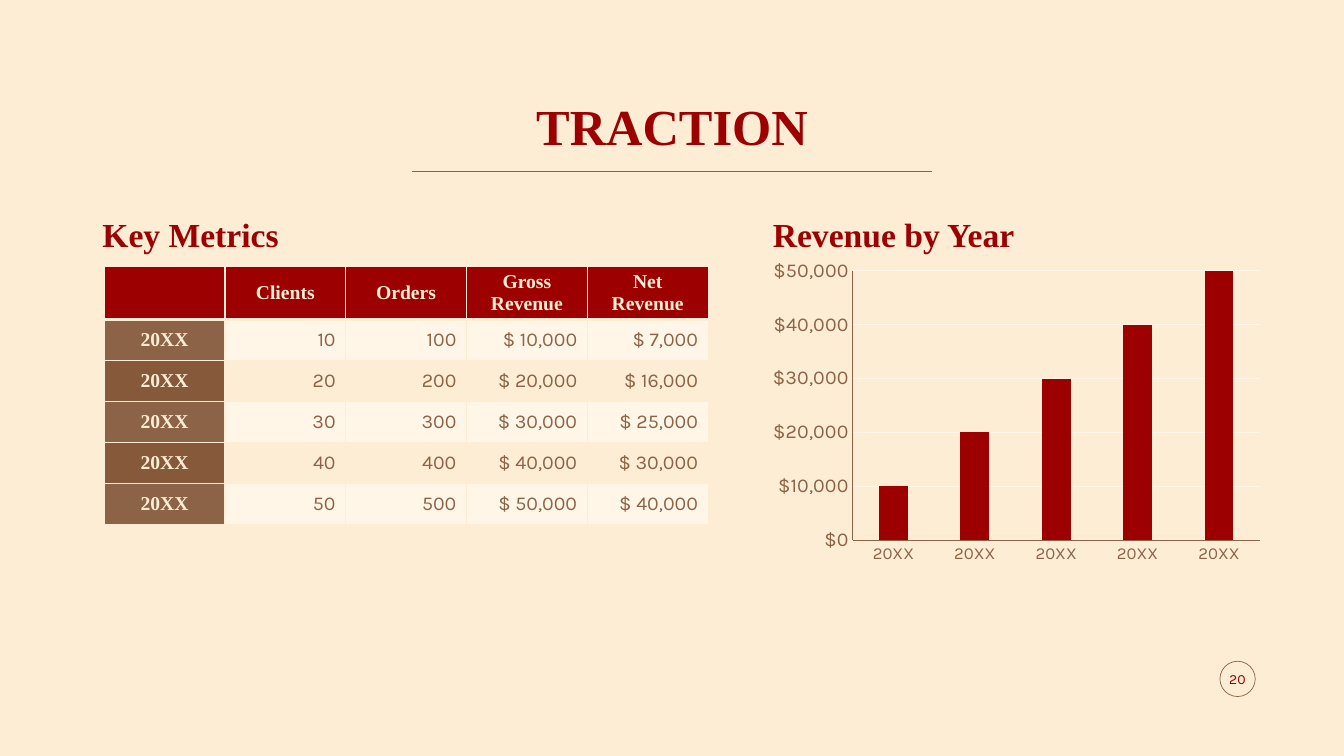
from lxml import etree
from pptx import Presentation
from pptx.chart.data import CategoryChartData
from pptx.dml.color import RGBColor
from pptx.enum.chart import XL_CHART_TYPE, XL_TICK_MARK
from pptx.enum.shapes import MSO_CONNECTOR, MSO_SHAPE
from pptx.enum.text import MSO_ANCHOR, MSO_AUTO_SIZE, PP_ALIGN
from pptx.oxml.ns import qn
from pptx.util import Inches, Pt

COLUMN = XL_CHART_TYPE.COLUMN_CLUSTERED
NO_TICK = XL_TICK_MARK.NONE
STRAIGHT, OVAL = MSO_CONNECTOR.STRAIGHT, MSO_SHAPE.OVAL
TOP, MIDDLE, BOTTOM = MSO_ANCHOR.TOP, MSO_ANCHOR.MIDDLE, MSO_ANCHOR.BOTTOM
LEFT, CENTER, RIGHT = PP_ALIGN.LEFT, PP_ALIGN.CENTER, PP_ALIGN.RIGHT
NO_FIT = MSO_AUTO_SIZE.NONE

W, H = Inches(13.33), Inches(7.5)
SERIF, SANS = "Times New Roman", "Karla"
COLORS = {
    "cream": "FCEDD4",
    "pale": "FFF6E7",
    "red": "9D0000",
    "brown": "8D6347",
    "dark_brown": "855939",
    "bright_red": "FF0000",
    "blue": "00AEEF",
}
HEADER = ["", "Clients", "Orders", "Gross Revenue", "Net Revenue"]
METRICS = [
    ["20XX", "10", "100", "$ 10,000", "$ 7,000"],
    ["20XX", "20", "200", "$ 20,000", "$ 16,000"],
    ["20XX", "30", "300", "$ 30,000", "$ 25,000"],
    ["20XX", "40", "400", "$ 40,000", "$ 30,000"],
    ["20XX", "50", "500", "$ 50,000", "$ 40,000"],
]
NO_VALUES = [None] * len(METRICS)
SERIES = [
    ("Series 1", [10000, 20000, 30000, 40000, 50000], "red"),
    ("Series 2", NO_VALUES, "bright_red"),
    ("Series 3", NO_VALUES, "blue"),
]


def rgb(name):
    return RGBColor.from_string(COLORS[name])


def box(x, y, w, h):
    """Turn percentages of the slide's size into left, top, width, height."""
    return [int(side * share / 100) for side, share in ((W, x), (H, y), (W, w), (H, h))]


def style_font(font, size, face, color, bold=False):
    font.size, font.name, font.bold = Pt(size), face, bold
    font.color.rgb = rgb(color)


def style_line(line, color, width):
    line.color.rgb = rgb(color)
    line.width = Pt(width)


def write(tf, text, align, *font):
    p = tf.paragraphs[0]
    p.alignment = align
    r = p.add_run()
    r.text = text
    style_font(r.font, *font)
    return p


def fill_placeholder(sp, area, text, size, align, anchor):
    sp.left, sp.top, sp.width, sp.height = box(*area)
    tf = sp.text_frame
    tf.auto_size, tf.word_wrap, tf.vertical_anchor = NO_FIT, True, anchor
    return write(tf, text, align, size, SERIF, "red", True)


def add_title(sp, area, text):
    p = fill_placeholder(sp, area, text, 36, CENTER, BOTTOM)
    p.line_spacing = 0.9


def add_heading(sp, area, text):
    p = fill_placeholder(sp, area, text, 24, LEFT, TOP)
    p.space_before = Pt(6)


def add_rule(s, x1, x2, y):
    left, top, width, _ = box(x1, y, x2 - x1, 0)
    rule = s.shapes.add_connector(STRAIGHT, left, top, left + width, top)
    style_line(rule.line, "brown", 1)
    etree.SubElement(rule._element.spPr, qn("a:effectLst"))


def add_borders(cell, top, bottom):
    tcPr = cell._tc.get_or_add_tcPr()
    for side, width in (("L", 1), ("R", 1), ("T", top), ("B", bottom)):
        ln = etree.SubElement(tcPr, qn(f"a:ln{side}"), w=str(Pt(width)))
        fill = etree.SubElement(ln, qn("a:solidFill"))
        etree.SubElement(fill, qn("a:srgbClr"), val=COLORS["cream"])


def fill_cell(cell, text, fill, align, face, color, bold, top=1, bottom=1):
    add_borders(cell, top, bottom)
    if fill:
        cell.fill.solid()
        cell.fill.fore_color.rgb = rgb(fill)
    else:
        cell.fill.background()
    cell.vertical_anchor = MIDDLE
    if text:
        write(cell.text_frame, text, align, 14, face, color, bold)


def add_metrics_table(s, x, y, col_w, header_h, row_h):
    rows, cols = len(METRICS) + 1, len(HEADER)
    area = box(x, y, col_w * cols, header_h + row_h * (rows - 1))
    table = s.shapes.add_table(rows, cols, *area).table
    table.horz_banding = False
    for column in table.columns:
        column.width = int(W * col_w / 100)
    for i, row in enumerate(table.rows):
        row.height = int(H * (row_h if i else header_h) / 100)

    for j, text in enumerate(HEADER):
        fill_cell(table.cell(0, j), text, "red", CENTER, SERIF, "cream", True, bottom=3)
    for i, (year, *values) in enumerate(METRICS, 1):
        odd = i % 2
        top = 3 if i == 1 else 1
        fill_cell(table.cell(i, 0), year, "brown" if odd else "dark_brown",
                  CENTER, SERIF, "cream", True, top)
        for j, text in enumerate(values, 1):
            fill_cell(table.cell(i, j), text, "pale" if odd else None,
                      RIGHT, SANS, "brown", False, top)


def style_axis(axis, size):
    axis.major_tick_mark = axis.minor_tick_mark = NO_TICK
    style_font(axis.tick_labels.font, size, SANS, "brown")
    style_line(axis.format.line, "brown", 0.75)


def add_revenue_chart(s, area):
    data = CategoryChartData()
    data.categories = [row[0] for row in METRICS]
    for name, values, _ in SERIES:
        data.add_series(name, values)
    chart = s.shapes.add_chart(COLUMN, *box(*area), data).chart
    chart.has_legend = chart.has_title = False
    style_font(chart.font, 10, SANS, "red")

    plot = chart.plots[0]
    plot.gap_width, plot.overlap, plot.vary_by_categories = 182, 100, False
    for series, (_, _, color) in zip(plot.series, SERIES):
        series.format.fill.solid()
        series.format.fill.fore_color.rgb = rgb(color)

    style_axis(chart.category_axis, 12)
    axis = chart.value_axis
    style_axis(axis, 14)
    axis.minimum_scale, axis.maximum_scale, axis.major_unit = 0, 50000, 10000
    axis.tick_labels.number_format = "[$$-409]#,##0"
    axis.tick_labels.number_format_is_linked = False
    style_line(axis.major_gridlines.format.line, "pale", 0.75)


def add_page_number(s, number):
    ring = s.shapes.add_shape(OVAL, *box(90.77, 87.47, 2.63, 4.67))
    ring.shadow.inherit = False
    ring.fill.background()
    style_line(ring.line, "brown", 0.5)
    tf = s.shapes.add_textbox(*box(90.57, 87.07, 3, 5.33)).text_frame
    tf.word_wrap, tf.vertical_anchor = True, MIDDLE
    tf.margin_left = tf.margin_right = 0
    write(tf, number, CENTER, 10, SANS, "red")


def main():
    prs = Presentation()
    prs.slide_width, prs.slide_height = W, H
    s = prs.slides.add_slide(prs.slide_layouts.get_by_name("Comparison"))
    s.background.fill.solid()
    s.background.fill.fore_color.rgb = rgb("cream")

    title, left_head, left_body, right_head, right_body = list(s.placeholders)[:5]
    for sp in (left_body, right_body):
        sp._element.getparent().remove(sp._element)

    add_title(title, (6.87, 11.07, 86.27, 10.27), "TRACTION")
    add_rule(s, 30.66, 69.34, 22.67)
    add_heading(left_head, (6.87, 27.6, 42.84, 5.07), "Key Metrics")
    add_metrics_table(s, 7.75, 35.2, 8.99, 7.07, 5.43)
    add_heading(right_head, (56.75, 27.6, 36.83, 5.87), "Revenue by Year")
    add_revenue_chart(s, (56.75, 33.47, 37.73, 42))
    add_page_number(s, "20")
    prs.save("out.pptx")


if __name__ == "__main__":
    main()
